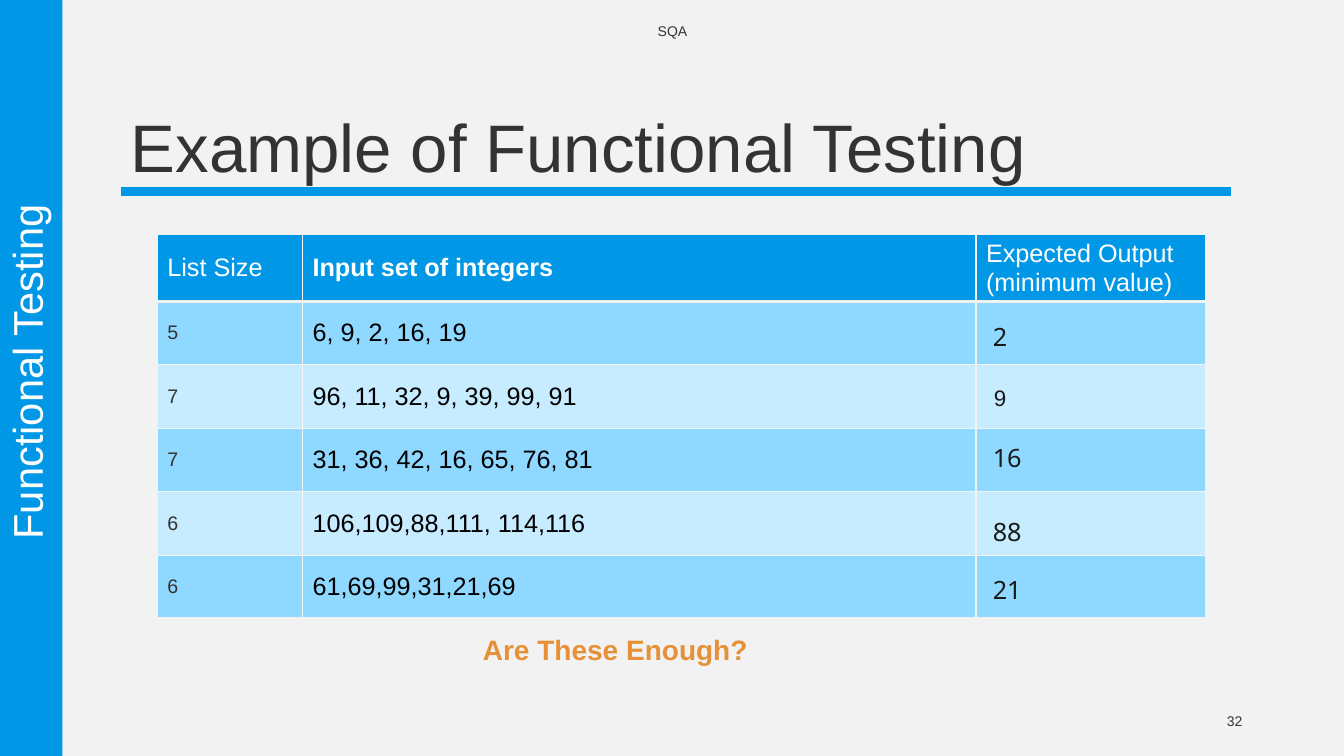
from lxml import etree
from pptx import Presentation
from pptx import dml
from pptx import util as u
from pptx.dml.color import RGBColor
from pptx.enum import shapes, text
from pptx.oxml import ns

Inches = u.Inches
COLORS = {"page": "F2F2F2", "blue": "0097E6", "mid": "8FD8FF", "pale": "C7EBFF",
          "dark": "333333", "black": "000000", "white": "FFFFFF",
          "orange": "E69138", "ink": "1A1A1A"}
rgb = {name: RGBColor.from_string(value) for name, value in COLORS.items()}
LEFT, CENTER, RIGHT = text.PP_ALIGN.LEFT, text.PP_ALIGN.CENTER, text.PP_ALIGN.RIGHT
MIDDLE, BOTTOM, TOP = text.MSO_ANCHOR.MIDDLE, text.MSO_ANCHOR.BOTTOM, text.MSO_ANCHOR.TOP


def write(frame, words, size, color, bold=False, font="Arial", align=LEFT, spacing=1.0):
    paragraph = frame.paragraphs[0]
    paragraph.alignment = align
    paragraph.line_spacing = spacing
    run = paragraph.add_run()
    run.text = words
    for name, value in {"name": font, "size": u.Pt(size), "bold": bold}.items():
        setattr(run.font, name, value)
    run.font.color.rgb = rgb[color]


def add_block(box, color):
    block = slide.shapes.add_shape(shapes.MSO_SHAPE.RECTANGLE, *map(Inches, box))
    block.shadow.inherit = False
    block.fill.solid()
    block.fill.fore_color.rgb = rgb[color]
    block.line.fill.background()
    return block


deck = Presentation()
deck.slide_width, deck.slide_height = Inches(13.33), Inches(7.5)
slide = deck.slides.add_slide(deck.slide_layouts[6])
slide.background.fill.solid()
slide.background.fill.fore_color.rgb = rgb["page"]

title_rule = slide.shapes.add_connector(
    shapes.MSO_CONNECTOR.STRAIGHT, Inches(1.2), Inches(1.9), Inches(12.21), Inches(1.9))
title_rule.line.color.rgb = rgb["blue"]
title_rule.line.width = u.Pt(6)
etree.SubElement(title_rule.element.spPr, ns.qn("a:effectLst"))
add_block((0, 0, 0.62, 7.5), "blue")

labels = [
    ((1.2, 0.31, 11, 1.59), 0, BOTTOM,
     {"words": "Example of Functional Testing", "size": 48, "color": "dark", "spacing": 0.85}),
    ((4.42, 0.11, 4.5, 0.4), 0, MIDDLE,
     {"words": "SQA", "size": 10, "color": "dark", "align": CENTER}),
    ((9.42, 6.95, 3, 0.4), 0, MIDDLE,
     {"words": "32", "size": 10, "color": "dark", "align": RIGHT}),
    ((-3.06, 3.44, 6.74, 0.5), 270, BOTTOM,
     {"words": "Functional Testing", "size": 29.7, "color": "white", "align": CENTER,
      "spacing": 0.85}),
    ((4.69, 6.29, 2.94, 0.4), 0, TOP,
     {"words": "Are These Enough?", "size": 20, "color": "orange", "bold": True,
      "spacing": 0.8}),
]
for box, rotation, anchor, wording in labels:
    label = slide.shapes.add_textbox(*map(Inches, box))
    label.rotation = rotation
    label.text_frame.word_wrap = True
    label.text_frame.vertical_anchor = anchor
    write(label.text_frame, **wording)

headings = ["List Size", "Input set of integers", "Expected Output (minimum value)"]
test_cases = [
    ("5", "6, 9, 2, 16, 19"),
    ("7", "96, 11, 32, 9, 39, 99, 91"),
    ("7", "31, 36, 42, 16, 65, 76, 81"),
    ("6", "106,109,88,111, 114,116"),
    ("6", "61,69,99,31,21,69"),
]
grid = [headings] + [(*case, "") for case in test_cases]
cases = slide.shapes.add_table(
    len(grid), 3, Inches(1.56), Inches(2.33), Inches(10.4), Inches(3.8)).table
for column, width in zip(cases.columns, (1.44, 6.68, 2.28)):
    column.width = Inches(width)
for r, entries in enumerate(grid):
    cases.rows[r].height = Inches(0.63 if r else 0.65)
    band = ("mid" if r % 2 else "pale") if r else "blue"
    for c, entry in enumerate(entries):
        cell = cases.cell(r, c)
        cell.vertical_anchor = MIDDLE
        cell.margin_top = cell.margin_bottom = Inches(0.03)
        if entry:
            size = 14 if r and c == 0 else 18
            color = ("black" if c else "dark") if r else "white"
            write(cell.text_frame, entry, size, color, bold=r == 0 and c == 1)
        cell_format = cell._tc.get_or_add_tcPr()
        for side in "LRTB":
            thick = (side == "B" and r in (0, len(grid) - 1)) or (side == "T" and r == 1)
            edge = etree.SubElement(cell_format, ns.qn(f"a:ln{side}"),
                                    w=str(u.Pt(3 if thick else 1)))
            paint = etree.SubElement(edge, ns.qn("a:solidFill"))
            etree.SubElement(paint, ns.qn("a:srgbClr"), val=COLORS["page"])
        cell.fill.solid()
        cell.fill.fore_color.rgb = rgb[band]

minimums = [("2", 3.17, "mid"), ("9", 3.77, "pale"), ("16", 4.37, "mid"),
            ("88", 5.1, "pale"), ("21", 5.68, "mid")]
for value, top, band in minimums:
    minimum = add_block((9.74, top, 0.5 if len(value) > 1 else 0.36, 0.34), band)
    frame = minimum.text_frame
    for name, setting in {"margin_left": 0, "margin_right": 0, "margin_top": 0,
                          "margin_bottom": 0, "vertical_anchor": MIDDLE}.items():
        setattr(frame, name, setting)
    size, font = (16, "Arial") if value == "9" else (18, "Noto Sans")
    write(frame, value, size, "ink", font=font, align=CENTER)

deck.save("out.pptx")
